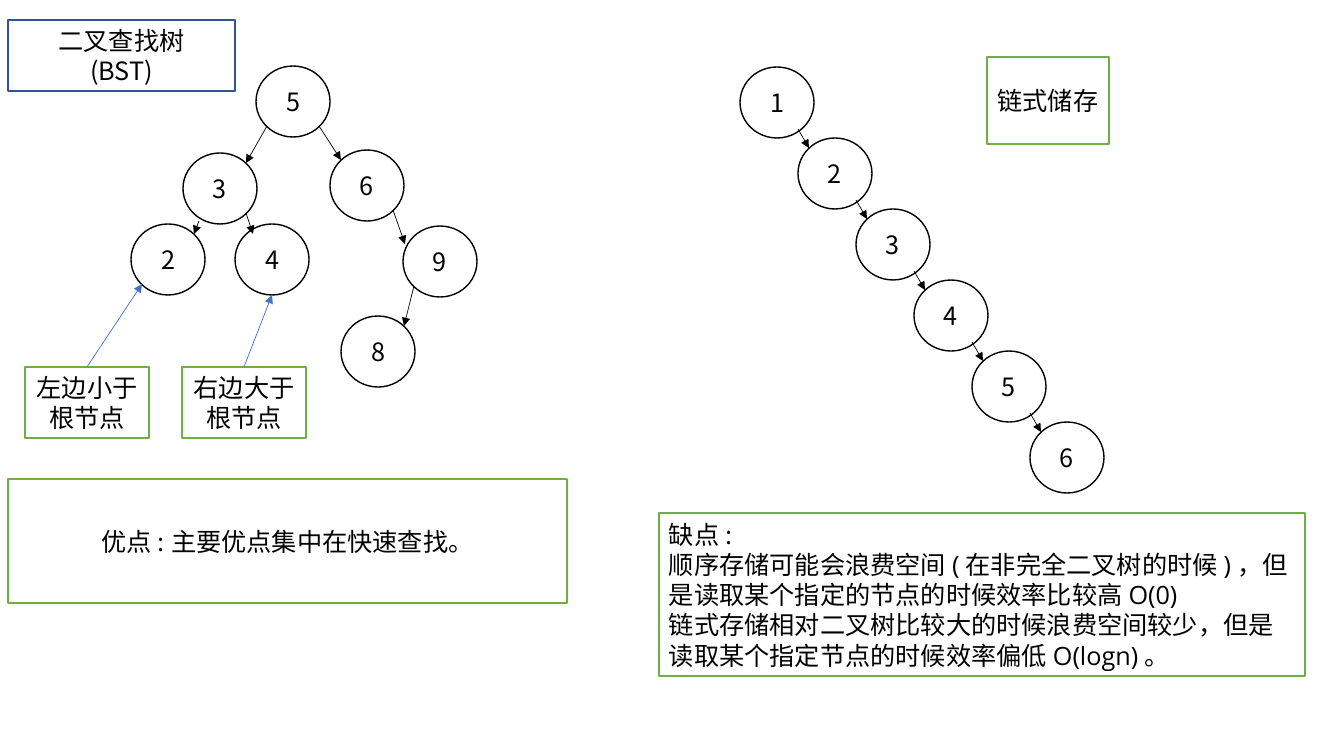
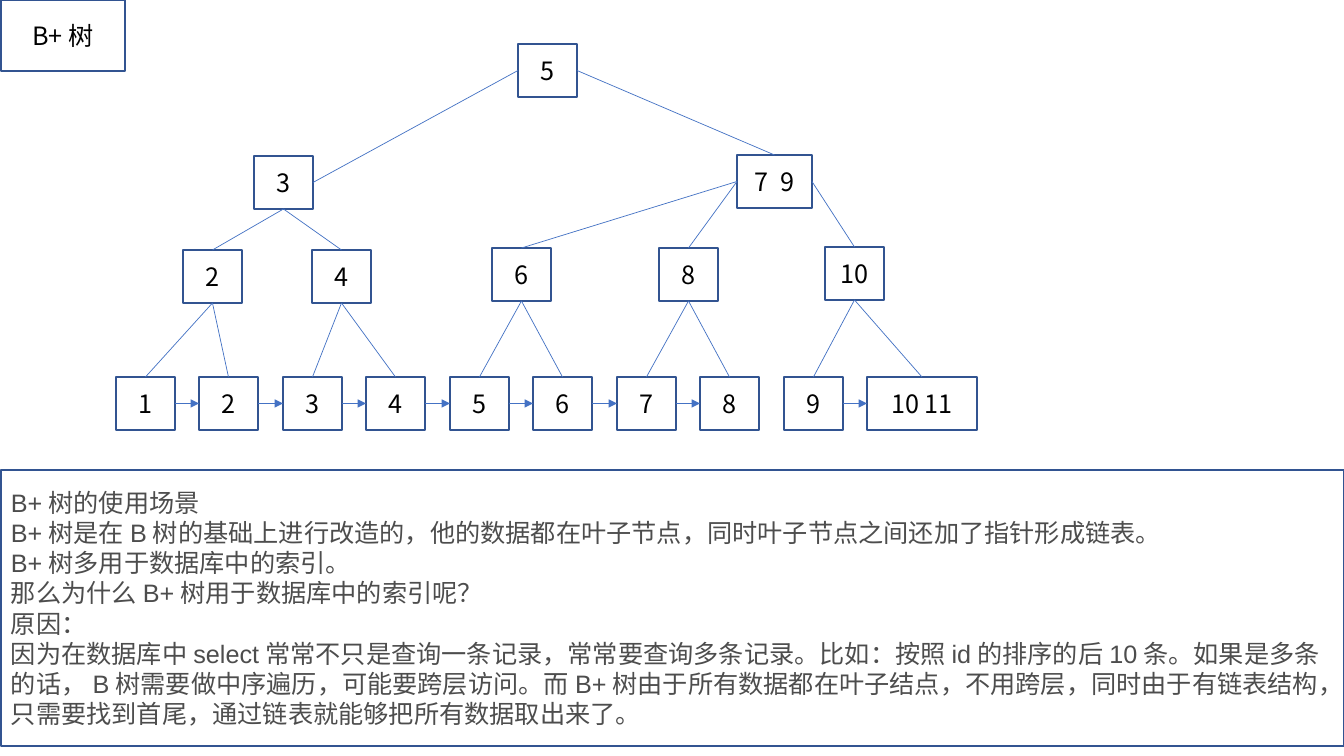
"""Builds two slides on binary search trees and B+ trees."""
from lxml import etree
from pptx import Presentation, util as u
from pptx.dml.color import RGBColor
from pptx.enum import shapes, text
from pptx.oxml.ns import qn

SCALE = 914400 / 100.8
COLORS = {"white": "FFFFFF", "black": "000000", "grey": "4D4D4D",
          "navy": "325491", "blue": "4472C4", "green": "70AD47"}
CJK, SANS, ARIAL = "Noto Sans CJK SC", "Open Sans", "Arial"
SIZE = 18
TOP, LEFT, BOTTOM, RIGHT = range(4)
LOWER_LEFT, LOWER_RIGHT = (11, 60), (63, 60)
UPPER_LEFT, UPPER_RIGHT = (11, 10), (63, 10)
LOW_MIDDLE = (37, 71)


def px(length):
    """Turn pixels into EMU."""
    return u.Emu(round(length * SCALE))


def rgb(name):
    """Look up a colour by name."""
    return RGBColor.from_string(COLORS[name])


def rim(place, offset):
    """Find a point on the rim of a round node."""
    return place[0] + offset[0], place[1] + offset[1]


def write(frame, paras, color="black", align="CENTER"):
    """Fill a text frame with paragraphs, each a list of (words, face) pairs."""
    frame.word_wrap = True
    frame.vertical_anchor = text.MSO_ANCHOR.MIDDLE
    for number, spans in enumerate(paras):
        para = frame.add_paragraph() if number else frame.paragraphs[0]
        para.alignment = getattr(text.PP_ALIGN, align)
        for words, face in spans:
            for row, line in enumerate(words.split("\n")):
                if row:
                    para.add_line_break()
                span = para.add_run()
                span.text = line
                span.font.size = u.Pt(SIZE)
                span.font.name = face
                span.font.color.rgb = rgb(color)
                etree.SubElement(span.font._element, qn("a:ea"), typeface=CJK)
        for pause in para._p.findall(qn("a:br")):
            etree.SubElement(pause, qn("a:rPr"), sz=str(SIZE * 100))


class Deck:
    """Holds the shared style and the current slide."""

    def __init__(self):
        """Start a wide presentation."""
        self.show = Presentation()
        self.show.slide_width, self.show.slide_height = px(1344), px(756)
        self.page = None

    def add_page(self, title, left, top, width):
        """Add a slide with a framed title."""
        self.page = self.show.slides.add_slide(self.show.slide_layouts[5])
        box = self.page.shapes.title
        box.left, box.top, box.width, box.height = map(px, (left, top, width, 71))
        self.frame(box, "navy")
        write(box.text_frame, [[(title, CJK)]])

    def frame(self, box, line):
        """Give a box white fill and a thin outline."""
        box.shadow.inherit = False
        box.fill.solid()
        box.fill.fore_color.rgb = rgb("white")
        box.line.color.rgb = rgb(line)
        box.line.width = u.Pt(1)

    def box(self, paras, left, top, width, height, line="green", kind="RECTANGLE", **style):
        """Add an outlined shape with text."""
        box = self.page.shapes.add_shape(
            getattr(shapes.MSO_SHAPE, kind), *map(px, (left, top, width, height)))
        self.frame(box, line)
        write(box.text_frame, paras, **style)
        return box

    def circle(self, label, left, top):
        """Add a round tree node."""
        return self.box([[(label, CJK)]], left, top, 74, 71, line="black", kind="OVAL")

    def key(self, label, left, top, width=59):
        """Add a square tree node."""
        return self.box([[(label, CJK)]], left, top, width, 53, line="navy")

    def line(self, start, end, color="blue", arrow=True):
        """Draw a thin line between two points."""
        line = self.page.shapes.add_connector(
            shapes.MSO_CONNECTOR.STRAIGHT, *map(px, (*start, *end)))
        line.line.color.rgb = rgb(color)
        line.line.width = u.Pt(0.5)
        if arrow:
            etree.SubElement(line.line._get_or_add_ln(), qn("a:tailEnd"), type="triangle")
        etree.SubElement(line._element.spPr, qn("a:effectLst"))
        return line

    def link(self, start, end, arrow=True):
        """Glue a line to two boxes, each given as a (box, side) pair."""
        line = self.line((0, 0), (0, 0), arrow=arrow)
        line.begin_connect(*start)
        line.end_connect(*end)


def search_tree(deck):
    """Draw the binary search tree slide."""
    deck.add_page("二叉查找树\n(BST)", 8, 20, 227)
    spots = {5: (256, 66), 3: (183, 153), 6: (330, 150), 4: (235, 224),
             8: (341, 316), 2: (131, 224), 9: (403, 226)}
    for number, spot in spots.items():
        deck.circle(str(number), *spot)
    for parent, leave, child, arrive in [
            (5, LOWER_LEFT, 3, UPPER_RIGHT), (3, (16, 68), 2, UPPER_RIGHT),
            (3, LOWER_RIGHT, 4, (18, 10)), (5, LOWER_RIGHT, 6, UPPER_LEFT),
            (6, LOWER_RIGHT, 9, (2, 18)), (9, LOWER_LEFT, 8, UPPER_RIGHT)]:
        deck.line(rim(spots[parent], leave), rim(spots[child], arrive), "black")

    chain = [(740 + 58 * i, 67 + 71 * i) for i in range(6)]
    for number, place in enumerate(chain, 1):
        deck.circle(str(number), *place)
    for place, follower in zip(chain, chain[1:]):
        deck.line(rim(place, (58, 62)), rim(follower, UPPER_LEFT), "black")

    for words, left, target in [
            ("左边小于根节点", 25, rim(spots[2], LOWER_LEFT)),
            ("右边大于根节点", 182, rim(spots[4], LOW_MIDDLE))]:
        callout = deck.box([[(words, CJK)]], left, 367, 124, 71)
        pointer = deck.line((left + 62, 367), target)
        pointer.begin_connect(callout, TOP)

    deck.box([[("优点:", CJK), ("主要优点集中在快速查找。", SANS)]], 8, 479, 559, 124)
    deck.box([[("链式储存", CJK)]], 987, 57, 122, 87)
    deck.box([
        [("缺点:", CJK)],
        [("顺序存储可能会浪费空间(在非完全二叉树的时候)，但是读取某个指定的节点的时候效率比较高O(0)", SANS)],
        [("链式存储相对二叉树比较大的时候浪费空间较少，但是读取某个指定节点的时候效率偏低O(logn)。", SANS)],
    ], 659, 513, 646, 163, align="LEFT")


def plus_tree(deck):
    """Draw the B+ tree slide."""
    deck.add_page("B+树", 1, 0, 124)
    root = deck.key("5", 518, 44)
    small = deck.key("3", 254, 156)
    large = deck.key("7\u20029", 737, 155, 75)
    middle = [deck.key(label, left, top) for label, left, top in [
        ("2", 183, 250), ("4", 312, 250), ("6", 492, 248),
        ("8", 659, 248), ("10", 825, 247)]]
    labels = [str(n) for n in range(1, 10)] + ["10 11"]
    leaves = [deck.key(label, 116 + 167 * i // 2, 377, 110 if i == 9 else 59)
              for i, label in enumerate(labels)]

    for i, (leaf, follower) in enumerate(zip(leaves, leaves[1:])):
        if i != 7:
            deck.link((leaf, RIGHT), (follower, LEFT))

    edges = [((root, LEFT), (small, RIGHT)), ((root, RIGHT), (large, TOP))]
    sides = [(small, BOTTOM)] * 2 + [(large, LEFT)] * 2 + [(large, RIGHT)]
    edges += [(side, (child, TOP)) for side, child in zip(sides, middle)]
    edges += [((middle[i // 2], BOTTOM), (leaf, TOP)) for i, leaf in enumerate(leaves)]
    for start, end in edges:
        deck.link(start, end, arrow=False)

    deck.box([
        [("B+树的使用场景\n"
          "B+树是在B树的基础上进行改造的，他的数据都在叶子节点，同时叶子节点之间还加了指针形成链表。\n"
          "B+树多用于数据库中的索引。", ARIAL)],
        [("那么为什么B+树用于数据库中的索引呢？\n原因：\n"
          "因为在数据库中select常常不只是查询一条记录，常常要查询多条记录。"
          "比如：按照id的排序的后10条。如果是多条的话，B树需要做中序遍历，可能要跨层访问。"
          "而B+树由于所有数据都在叶子结点，不用跨层，同时由于有链表结构，"
          "只需要找到首尾，通过链表就能够把所有数据取出来了。", ARIAL)],
    ], 1, 470, 1343, 276, line="navy", color="grey", align="LEFT")


deck = Deck()
search_tree(deck)
plus_tree(deck)
deck.show.save("out.pptx")
